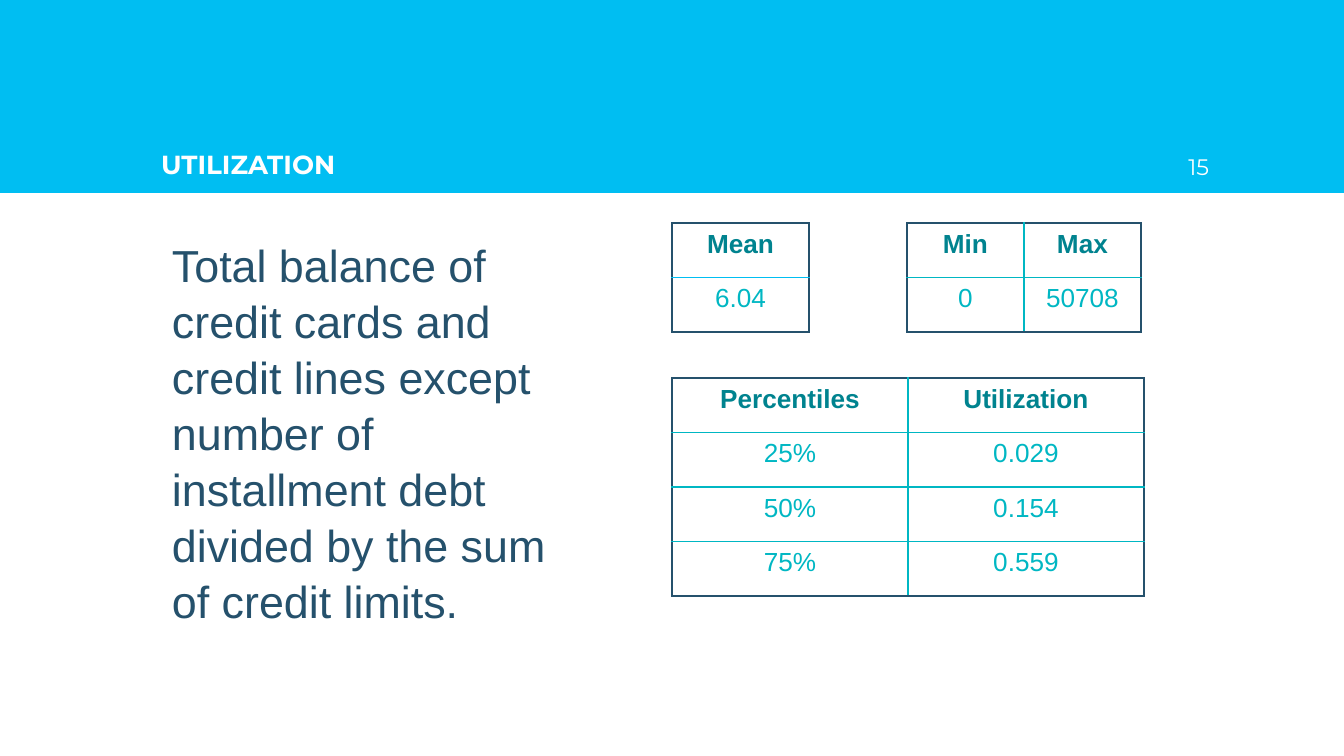
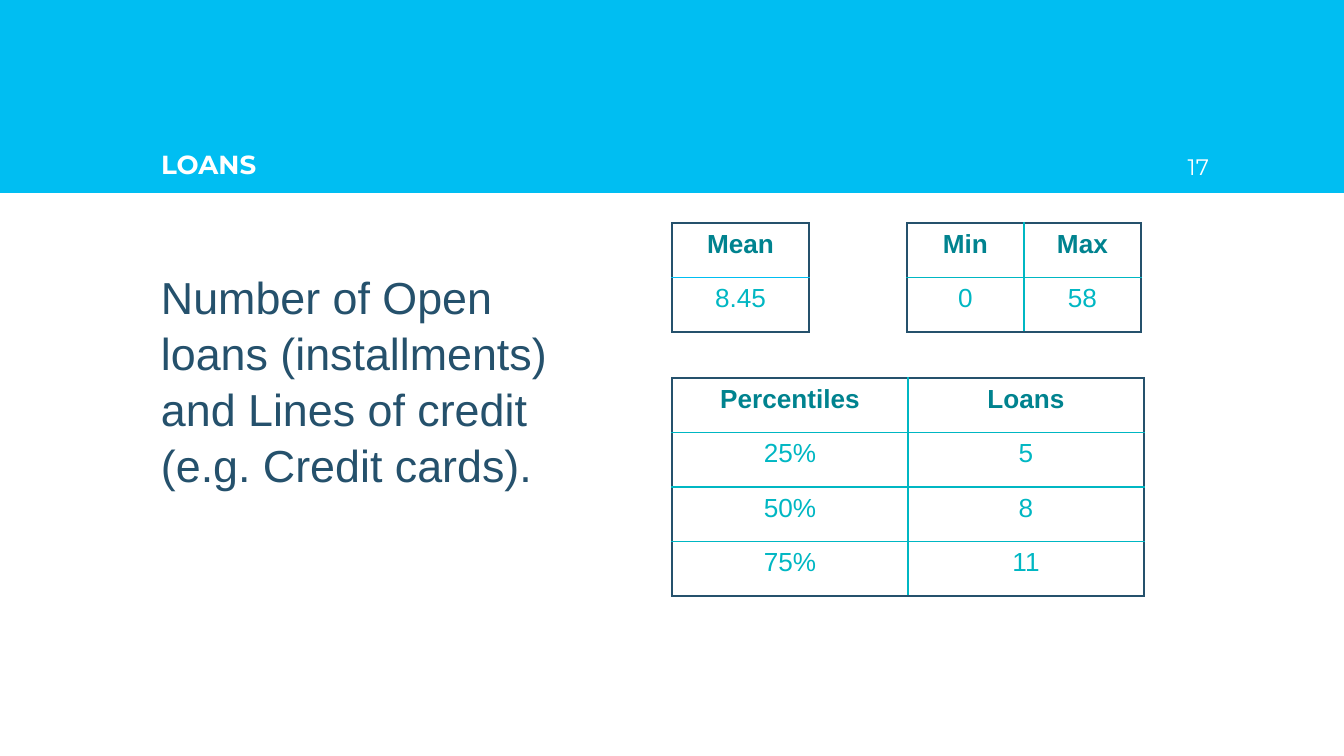
from lxml import etree
from pptx import Presentation
from pptx import util as u
from pptx.dml.color import RGBColor
from pptx.enum import shapes, text
from pptx.oxml.ns import qn

SKY = RGBColor(0x00, 0xBE, 0xF2)
NAVY = RGBColor(0x25, 0x51, 0x6C)
TEAL = RGBColor(0x00, 0xB7, 0xC3)
DARK_TEAL = RGBColor(0x00, 0x83, 0x8F)
WHITE = RGBColor(0xFF, 0xFF, 0xFF)

EMU_PER_PX = 914400 / 134.4
WIDTH, HEIGHT, BAND_HEIGHT = 1344, 756, 193
INSET = 13
LEFT, TABLE_LEFT, RANGE_LEFT = 148, 672, 907
TABLE_TOP, PERCENTILES_TOP = 223, 378

TITLE = dict(name="Montserrat", size=u.Pt(14), bold=True, color=WHITE)
NUMBER = dict(name="Montserrat", size=u.Pt(12), bold=False, color=WHITE)
BODY = dict(name="Arial", size=u.Pt(24), bold=False, color=NAVY)
HEADER = dict(name="Arial", size=u.Pt(14), bold=True, color=DARK_TEAL)
VALUE = dict(name="Arial", size=u.Pt(14), bold=False, color=TEAL)


def px(length):
    """Turn pixels into EMU."""
    return u.Emu(round(length * EMU_PER_PX))


def write(frame, content, style, align=text.PP_ALIGN.LEFT):
    """Put one styled paragraph into a text frame and return it."""
    paragraph = frame.paragraphs[0]
    paragraph.alignment = align
    run = paragraph.add_run()
    run.text = content
    for key, value in style.items():
        if key == "color":
            run.font.color.rgb = value
        else:
            setattr(run.font, key, value)
    return paragraph


def set_frame(frame, anchor):
    """Give a text frame the shared insets, wrapping and anchor."""
    settings = dict(word_wrap=True, auto_size=text.MSO_AUTO_SIZE.NONE, vertical_anchor=anchor)
    for side in ("left", "top", "right", "bottom"):
        settings[f"margin_{side}"] = px(INSET)
    for key, value in settings.items():
        setattr(frame, key, value)


def add_text(slide, box, content, style, anchor, align=text.PP_ALIGN.LEFT):
    """Add a text box and return its paragraph."""
    shape = slide.shapes.add_textbox(*map(px, box))
    set_frame(shape.text_frame, anchor)
    return write(shape.text_frame, content, style, align)


def add_band(slide):
    """Add the header band behind everything else."""
    band = slide.shapes.add_shape(
        shapes.MSO_SHAPE.RECTANGLE, 0, 0, px(WIDTH), px(BAND_HEIGHT))
    band.shadow.inherit = False
    band.fill.solid()
    band.fill.fore_color.rgb = SKY
    band.line.fill.background()
    slide.shapes._spTree.insert(2, band._element)


def add_header(slide, title, number):
    """Fill the band with the title and the page number."""
    add_band(slide)
    shape = slide.shapes.title
    shape.left, shape.top, shape.width, shape.height = map(px, (LEFT, 95, 1048, 98))
    set_frame(shape.text_frame, text.MSO_ANCHOR.BOTTOM)
    write(shape.text_frame, title, TITLE)
    add_text(slide, (1141, 95, 81, 98), number, NUMBER,
             text.MSO_ANCHOR.BOTTOM, text.PP_ALIGN.RIGHT)


def add_body(slide, top, height, content, indent=0):
    """Add the description at the left."""
    paragraph = add_text(slide, (LEFT, top, 418, height), content, BODY, text.MSO_ANCHOR.TOP)
    paragraph.line_spacing = 1.04
    paragraph.space_before = u.Pt(2)
    if indent:
        properties = paragraph._p.get_or_add_pPr()
        properties.set("marL", str(px(indent)))
        properties.set("indent", "0")


def set_borders(cell, colors):
    """Draw the left, right, top and bottom borders of a cell."""
    properties = cell._tc.get_or_add_tcPr()
    for side, color in zip("LRTB", colors):
        line = etree.SubElement(properties, qn(f"a:ln{side}"), w=str(u.Pt(1)))
        fill = etree.SubElement(line, qn("a:solidFill"))
        etree.SubElement(fill, qn("a:srgbClr"), val=str(color))


def add_table(slide, box, rows, inner=TEAL):
    """Add a table with a navy outline and inner lines of one colour."""
    last_row, last_column = len(rows) - 1, len(rows[0]) - 1
    table = slide.shapes.add_table(last_row + 1, last_column + 1, *map(px, box)).table
    table.first_row = table.horz_banding = False
    for i, row in enumerate(rows):
        for j, content in enumerate(row):
            cell = table.cell(i, j)
            outer = (j == 0, j == last_column, i == 0, i == last_row)
            set_borders(cell, [NAVY if edge else inner for edge in outer])
            cell.fill.background()
            write(cell.text_frame, content, VALUE if i else HEADER, text.PP_ALIGN.CENTER)


def add_statistics(slide, name, mean, limits, quartiles):
    """Add the mean, range and percentile tables."""
    percentiles = [("Percentiles", name), *zip(("25%", "50%", "75%"), quartiles)]
    add_table(slide, (RANGE_LEFT, TABLE_TOP, 234, 109), [("Min", "Max"), limits])
    add_table(slide, (TABLE_LEFT, PERCENTILES_TOP, 472, 218), percentiles)
    add_table(slide, (TABLE_LEFT, TABLE_TOP, 137, 109), [("Mean",), (mean,)], SKY)


def main():
    """Build both slides and save them."""
    presentation = Presentation()
    presentation.slide_width, presentation.slide_height = px(WIDTH), px(HEIGHT)
    layout = presentation.slide_layouts[5]

    slide = presentation.slides.add_slide(layout)
    add_header(slide, "UTILIZATION", "15")
    add_body(slide, 223, 387, "Total balance of credit cards and credit lines except number of "
             "installment debt divided by the sum of credit limits.", indent=11)
    add_statistics(slide, "Utilization", "6.04", ("0", "50708"), ("0.029", "0.154", "0.559"))

    slide = presentation.slides.add_slide(layout)
    add_header(slide, "LOANS", "17")
    add_body(slide, 255, 245, "Number of Open loans (installments) and Lines of credit "
             "(e.g. Credit cards).")
    add_statistics(slide, "Loans", "8.45", ("0", "58"), ("5", "8", "11"))

    presentation.save("out.pptx")


if __name__ == "__main__":
    main()
